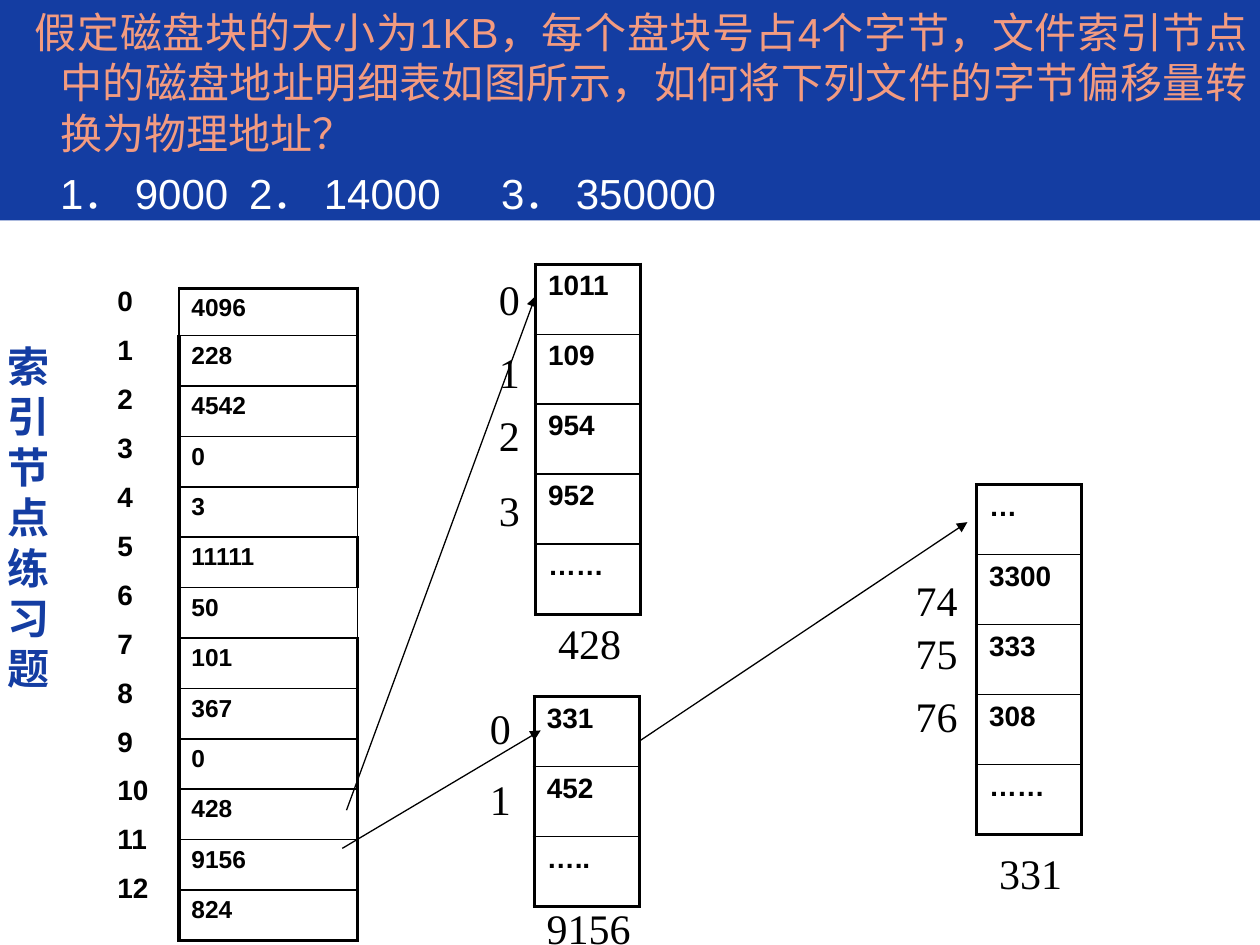
from lxml import etree
from pptx import Presentation
from pptx.dml.color import RGBColor
from pptx.enum.shapes import MSO_CONNECTOR, MSO_SHAPE
from pptx.enum.text import MSO_ANCHOR, MSO_AUTO_SIZE, PP_ALIGN
from pptx.oxml.ns import qn
from pptx.util import Pt

STRAIGHT = MSO_CONNECTOR.STRAIGHT
RECTANGLE = MSO_SHAPE.RECTANGLE
TOP = MSO_ANCHOR.TOP
NO_AUTOFIT = MSO_AUTO_SIZE.NONE
LEFT, JUSTIFY = PP_ALIGN.LEFT, PP_ALIGN.JUSTIFY

BLUE, SALMON, WHITE, BLACK = "143DA2", "F39B80", "FFFFFF", "000000"
THIN, THICK = 1, 2.25


def style(paragraph, size, color, font="Arial", bold=False):
    for run in paragraph.runs:
        run.font.size = Pt(size)
        run.font.name = font
        run.font.bold = bold
        run.font.color.rgb = RGBColor.from_string(color)


def set_borders(cell, **widths):
    """Draw black cell borders; the keys are L, R, T and B, the values points."""
    properties = cell._tc.get_or_add_tcPr()
    for side, width in widths.items():
        line = etree.SubElement(properties, qn(f"a:ln{side}"), w=str(Pt(width)))
        fill = etree.SubElement(line, qn("a:solidFill"))
        etree.SubElement(fill, qn("a:srgbClr"), val=BLACK)


prs = Presentation()
prs.slide_width, prs.slide_height = Pt(720), Pt(540)
slide = prs.slides.add_slide(prs.slide_layouts[5])
shapes = slide.shapes

# Vertical title: one character fits on each line
title = shapes.title
title.left, title.top, title.width, title.height = Pt(-3), Pt(191), Pt(60), Pt(254)
title_frame = title.text_frame
title_frame.text = "索引节点练习题"
title_frame.word_wrap = True
title_frame.auto_size = NO_AUTOFIT
title_frame.vertical_anchor = TOP
title_frame.paragraphs[0].alignment = LEFT
style(title_frame.paragraphs[0], 24, BLUE, bold=True)

# Question banner
banner = shapes.add_shape(RECTANGLE, 0, 0, Pt(720), Pt(126))
banner.shadow.inherit = False
banner.fill.solid()
banner.fill.fore_color.rgb = RGBColor.from_string(BLUE)
banner.line.fill.background()
banner_frame = banner.text_frame
banner_frame.word_wrap = True
banner_frame.vertical_anchor = TOP
banner_frame.margin_left = Pt(20)
question = banner_frame.paragraphs[0]
question.text = (
    "假定磁盘块的大小为1KB，每个盘块号占4个字节，文件索引节点中的磁盘地址明细表如图所示，"
    "如何将下列文件的字节偏移量转换为物理地址？"
)
offsets = banner_frame.add_paragraph()
offsets.text = "1． 9000\t2． 14000\t3． 350000"
offsets.space_before = Pt(5.8)
for paragraph, indent, color in ((question, -14.4, SALMON), (offsets, 0, WHITE)):
    paragraph.alignment = JUSTIFY
    properties = paragraph._p.get_or_add_pPr()
    properties.set("marL", str(Pt(14.4)))
    properties.set("indent", str(Pt(indent)))
    style(paragraph, 24, color)
tab_list = etree.SubElement(offsets._p.get_or_add_pPr(), qn("a:tabLst"))
for position in (188.5, 395.5):
    etree.SubElement(tab_list, qn("a:tab"), pos=str(Pt(position)), algn="l")

# Address tables: left, top, width, first row, other rows, text size, values
inode_values = ["4096", "228", "4542", "0", "3", "11111", "50",
                "101", "367", "0", "428", "9156", "824"]
address_tables = [
    (102.2, 164.8, 102, 27, 28.8, 14, inode_values),
    (306, 151, 60, 40, 40, 16, ["1011", "109", "954", "952", "……"]),
    (305.3, 398, 60, 40, 40, 16, ["331", "452", "….."]),
    (558, 277, 60, 40, 40, 16, ["…", "3300", "333", "308", "……"]),
]
for left, top, width, first_row, other_rows, size, values in address_tables:
    last = len(values) - 1
    table = shapes.add_table(
        len(values), 1, Pt(left), Pt(top), Pt(width), Pt(first_row + last * other_rows)
    ).table
    table.first_row = table.horz_banding = False
    for index, value in enumerate(values):
        table.rows[index].height = Pt(other_rows if index else first_row)
        cell = table.cell(index, 0)
        cell.text = value
        style(cell.text_frame.paragraphs[0], size, BLACK, bold=True)
        is_inode = values is inode_values
        set_borders(
            cell,
            L=THIN if is_inode and index == 0 else THICK,
            R=THIN if is_inode and index in (4, 6) else THICK,
            T=THICK if index == 0 else THIN,
            B=THICK if index == last else THIN,
        )
        cell.fill.background()

# Entry numbers beside the index blocks, block numbers below them
block_labels = [
    ("0", 278, 152.6, 42), ("1", 278, 194.4, 42),
    ("2", 278, 230.4, 42), ("3", 278, 273.6, 42),
    ("0", 272.9, 398, 42), ("1", 272.9, 438.5, 42),
    ("74", 516.2, 324.7, 42), ("75", 516.2, 355, 42), ("76", 516.2, 391, 42),
    ("428", 311.8, 349.2, 60), ("9156", 305.3, 512, 66), ("331", 563.8, 481, 54),
]
for label, left, top, width in block_labels:
    frame = shapes.add_textbox(Pt(left), Pt(top), Pt(width), Pt(36)).text_frame
    frame.word_wrap = True
    frame.text = label
    style(frame.paragraphs[0], 24, BLACK, font="Times New Roman")

# Entry numbers of the index node
inode_numbers = shapes.add_textbox(Pt(60), Pt(158.4), Pt(36), Pt(373)).text_frame
inode_numbers.word_wrap = True
inode_numbers.text = "\n".join(str(number) for number in range(len(inode_values)))
for number, paragraph in enumerate(inode_numbers.paragraphs):
    if number:
        paragraph.space_before = Pt(8.8)
    style(paragraph, 16, BLACK, bold=True)

# Pointers from an entry to its index block
for start_x, start_y, end_x, end_y in (
    (198, 463, 306, 169.2),
    (195.6, 484.8, 309, 417.4),
    (365.8, 423.2, 552.8, 298.4),
):
    pointer = shapes.add_connector(STRAIGHT, Pt(start_x), Pt(start_y), Pt(end_x), Pt(end_y))
    pointer.line.width = Pt(0.75)
    pointer.line.color.rgb = RGBColor.from_string(BLACK)
    etree.SubElement(pointer.line._get_or_add_ln(), qn("a:tailEnd"), type="triangle")
    etree.SubElement(pointer._element.spPr, qn("a:effectLst"))

prs.save("out.pptx")
